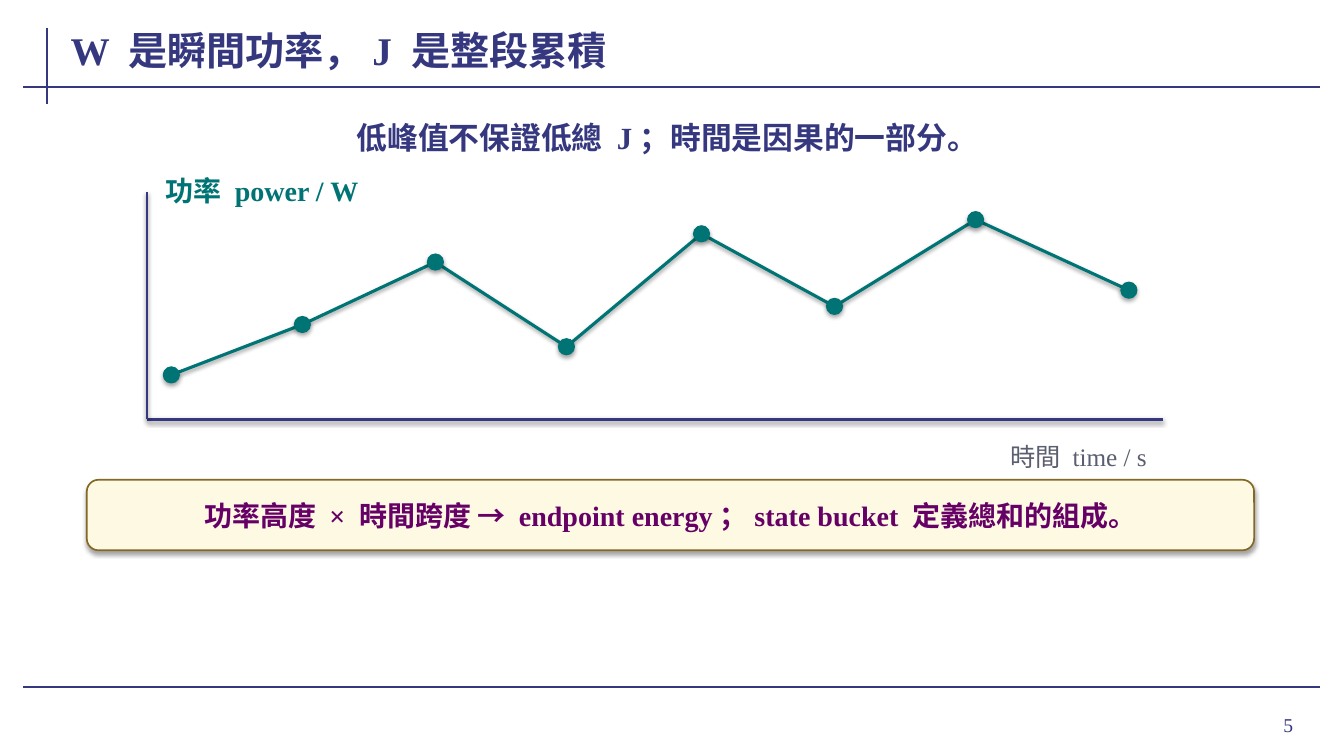
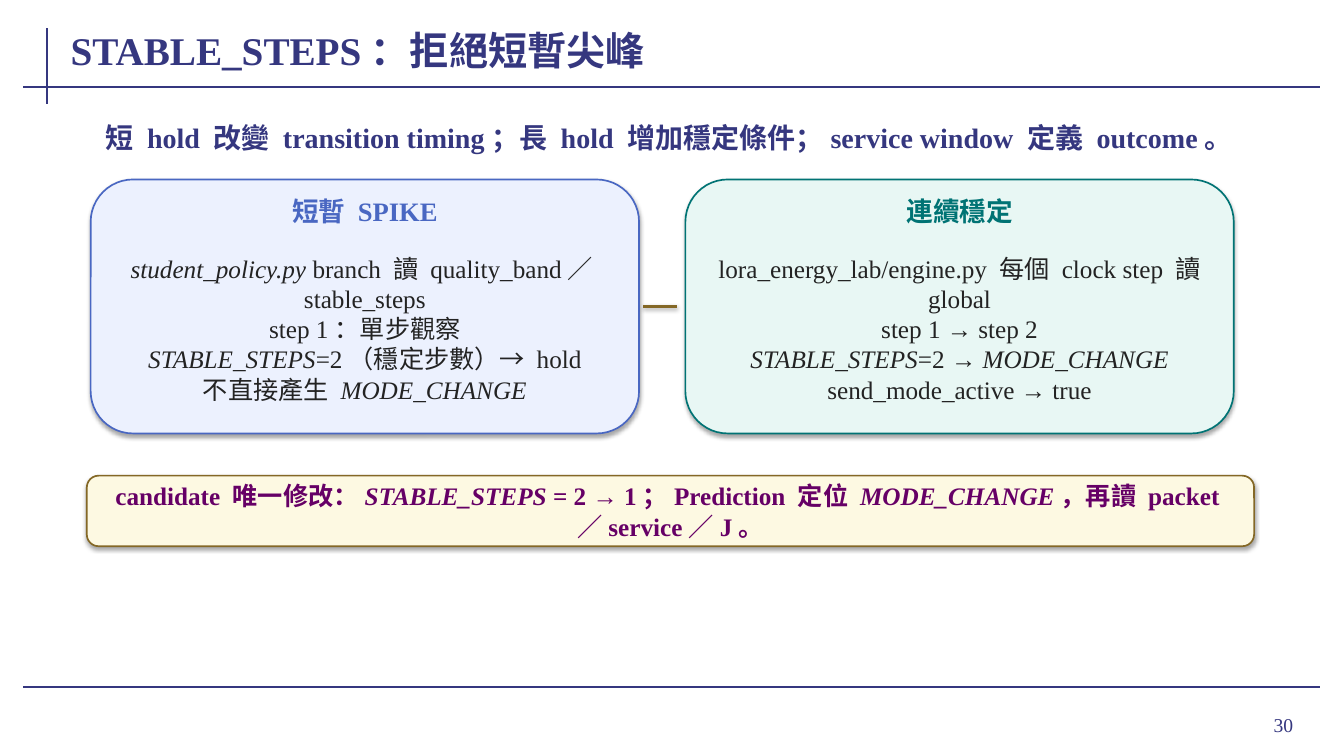
from itertools import pairwise

from pptx import Presentation
from pptx.dml.color import RGBColor
from pptx.enum import shapes, text
from pptx.oxml import ns
from pptx.util import Pt
from lxml import etree

NAVY = RGBColor(0x35, 0x37, 0x7F)
TEAL = RGBColor(0x00, 0x73, 0x74)
BLUE = RGBColor(0x49, 0x67, 0xC2)
BROWN = RGBColor(0x84, 0x68, 0x26)
PURPLE = RGBColor(0x66, 0x00, 0x66)
GREY = RGBColor(0x5A, 0x5E, 0x6F)
INK = RGBColor(0x23, 0x23, 0x23)
CREAM = RGBColor(0xFD, 0xF9, 0xE2)
PALE_BLUE = RGBColor(0xEC, 0xF1, 0xFE)
PALE_TEAL = RGBColor(0xE8, 0xF7, 0xF4)
FONT = "Times New Roman"
LEFT, CENTER, RIGHT = text.PP_ALIGN.LEFT, text.PP_ALIGN.CENTER, text.PP_ALIGN.RIGHT
TOP, MIDDLE = text.MSO_ANCHOR.TOP, text.MSO_ANCHOR.MIDDLE
NO_FIT, GROW = text.MSO_AUTO_SIZE.NONE, text.MSO_AUTO_SIZE.SHAPE_TO_FIT_TEXT


def fill_text(sp, lines, size, color, bold=False, align=CENTER, anchor=MIDDLE,
              inset=(6, 3), fit=NO_FIT):
    """Write the lines; parts between asterisks are italic."""
    tf = sp.text_frame
    tf.word_wrap = True
    tf.auto_size = fit
    tf.vertical_anchor = anchor
    tf.margin_left = tf.margin_right = Pt(inset[0])
    tf.margin_top = tf.margin_bottom = Pt(inset[1])
    for i, line in enumerate(lines):
        p = tf.add_paragraph() if i else tf.paragraphs[0]
        p.alignment = align
        p.font.name = FONT
        p.font.size = Pt(size)
        p.font.bold = bold
        p.font.color.rgb = color
        for j, part in enumerate(line.split("*")):
            if part:
                r = p.add_run()
                r.text = part
                if j % 2:
                    r.font.italic = True


def add_text(s, box, lines, size, color, fit=GROW, **style):
    sp = s.shapes.add_textbox(*map(Pt, box))
    fill_text(sp, lines, size, color, fit=fit, **style)


def add_line(s, start, end, color, width, shadow=True):
    sp = s.shapes.add_connector(shapes.MSO_CONNECTOR.STRAIGHT, *map(Pt, start + end))
    sp.line.color.rgb = color
    sp.line.width = Pt(width)
    if not shadow:
        etree.SubElement(sp._element.spPr, ns.qn("a:effectLst"))


def add_panel(s, kind, box, fill, line, width):
    sp = s.shapes.add_shape(kind, *map(Pt, box))
    sp.fill.solid()
    sp.fill.fore_color.rgb = fill
    sp.line.color.rgb = line
    sp.line.width = Pt(width)
    return sp


def add_base(prs, title, number):
    s = prs.slides.add_slide(prs.slide_layouts[5])
    for start, end in (((33.8, 20.2), (33.8, 74.2)),
                       ((16.6, 61.9), (943.2, 61.9)),
                       ((16.6, 491), (943.2, 491))):
        add_line(s, start, end, NAVY, 1.5, shadow=False)
    add_text(s, (861.1, 499, 69.8, 37.4), [str(number)], 14, NAVY, fit=NO_FIT,
             align=RIGHT, inset=(7.2, 3.6))
    sp = s.shapes.title
    sp.left, sp.top, sp.width, sp.height = map(Pt, (49, 13, 860.4, 44.6))
    fill_text(sp, [title], 28, NAVY, bold=True, align=LEFT, inset=(1.4, 0))
    return s


def add_lead(s, box, line, size):
    add_text(s, box, [line], size, NAVY, bold=True)


def add_callout(s, top, line, size):
    sp = add_panel(s, shapes.MSO_SHAPE.ROUNDED_RECTANGLE, (62, top, 833.8, 50.4),
                   CREAM, BROWN, 1.2)
    fill_text(sp, [line], size, PURPLE, bold=True, inset=(12, 0))


def add_power_plot(s, box, samples):
    x, y, w, h = box
    base = y + h
    add_line(s, (x, base), (x + w, base), NAVY, 1.8)
    add_line(s, (x, base), (x, y), NAVY, 1.8)
    points = [(x + dx, base - dy) for dx, dy in samples]
    for start, end in pairwise(points):
        add_line(s, start, end, TEAL, 2.2)
    d = 11.5
    for px, py in points:
        add_panel(s, shapes.MSO_SHAPE.OVAL, (px - d / 2, py - d / 2, d, d),
                  TEAL, TEAL, 0.75)
    add_text(s, (x + 7.2, y - 15.8, 158.4, 18.7), ["功率 power / W"], 20, TEAL,
             bold=True, align=LEFT, anchor=TOP)
    add_text(s, (x + w - 116.6, base + 13, 110.9, 17.3), ["時間 time / s"], 18, GREY,
             align=RIGHT, anchor=TOP)


def add_card(s, box, heading, lines, fill, accent):
    x, y, w, h = box
    add_panel(s, shapes.MSO_SHAPE.ROUNDED_RECTANGLE, box, fill, accent, 1.2)
    add_text(s, (x + 13, y + 11.5, w - 26, 21.6), [heading], 19, accent,
             bold=True, inset=(0.7, 0))
    add_text(s, (x + 14.4, y + 41.8, w - 28.8, h - 51.8), lines, 18, INK)


def build_power_slide(prs):
    s = add_base(prs, "W 是瞬間功率，J 是整段累積", 5)
    add_lead(s, (73.4, 85, 806.4, 25.9), "低峰值不保證低總 J；時間是因果的一部分。", 22)
    samples = [(17.3, 31.7), (110.9, 67.7), (205.9, 112.3), (299.5, 51.8),
               (396, 132.5), (491, 80.6), (591.8, 142.6), (701.3, 92.2)]
    add_power_plot(s, (105.1, 136.8, 725.8, 162.7), samples)
    add_callout(s, 342.7,
                "功率高度 × 時間跨度 → endpoint energy；state bucket 定義總和的組成。", 20)


def build_steps_slide(prs):
    s = add_base(prs, "STABLE_STEPS：拒絕短暫尖峰", 30)
    add_lead(s, (69.1, 85, 817.9, 25.9),
             "短 hold 改變 transition timing；長 hold 增加穩定條件；"
             "service window 定義 outcome。", 20)
    cards = [
        ("短暫 SPIKE",
         ["*student_policy.py* branch 讀 quality_band／stable_steps",
          "step 1：單步觀察",
          "*STABLE_STEPS*=2（穩定步數）→ hold",
          "不直接產生 *MODE_CHANGE*"], PALE_BLUE, BLUE),
        ("連續穩定",
         ["lora_energy_lab/engine.py 每個 clock step 讀 global",
          "step 1 → step 2",
          "*STABLE_STEPS*=2 → *MODE_CHANGE*",
          "send_mode_active → true"], PALE_TEAL, TEAL),
    ]
    left, top, width, height, gap = 64.8, 128.2, 391.7, 181.4, 33.1
    for i, card in enumerate(cards):
        add_card(s, (left + i * (width + gap), top, width, height), *card)
    mid = top + height / 2
    add_line(s, (left + width + 2.9, mid), (left + width + 27.4, mid), BROWN, 1.8)
    add_callout(s, 339.8,
                "candidate 唯一修改：*STABLE_STEPS* = 2 → 1；Prediction 定位 "
                "*MODE_CHANGE*，再讀 packet／service／J。", 18)


def main():
    prs = Presentation()
    prs.slide_width, prs.slide_height = Pt(960), Pt(540)
    build_power_slide(prs)
    build_steps_slide(prs)
    prs.save("out.pptx")


if __name__ == "__main__":
    main()
